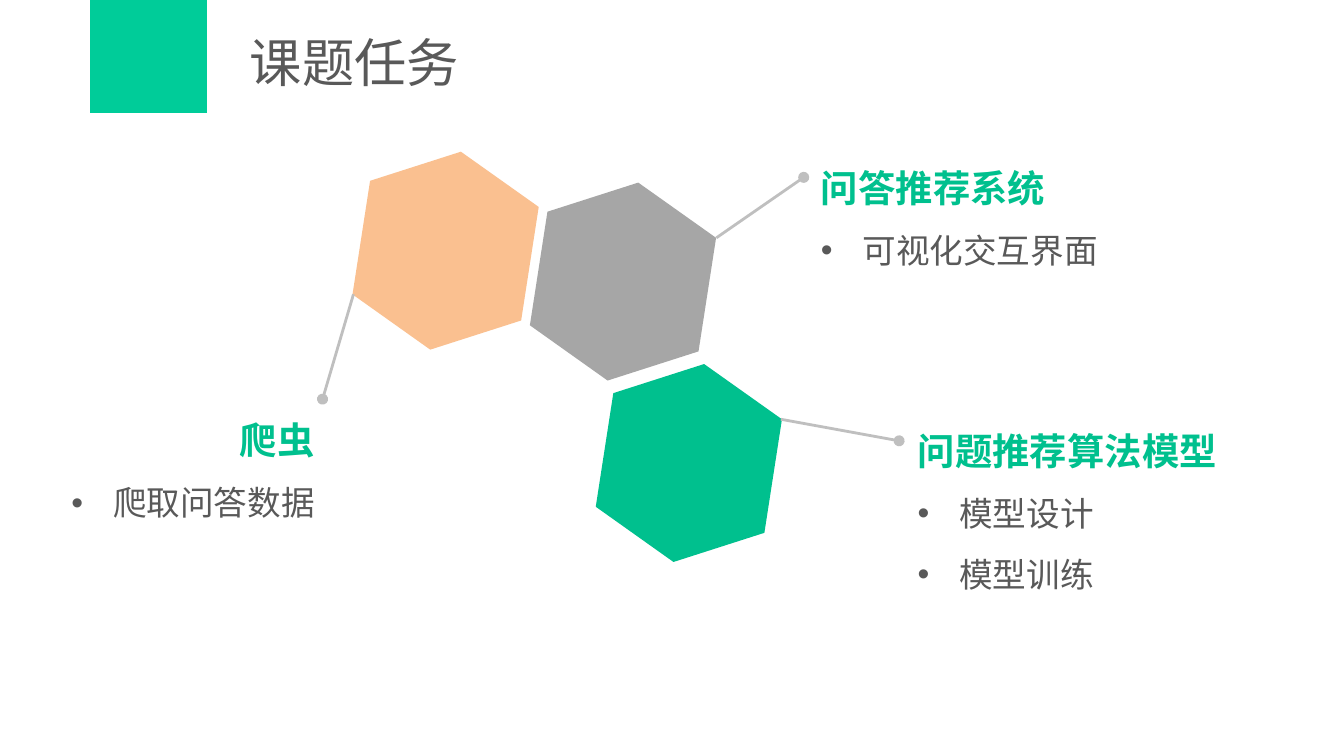
from lxml import etree
from pptx import Presentation
from pptx.dml.color import RGBColor
from pptx.enum import shapes, text
from pptx.oxml import ns
from pptx.util import Inches, Pt

FONT = "Noto Sans CJK SC"
GREEN, GRAY, ORANGE = "00C08E", "A6A6A6", "FAC090"
TEXT_COLOR, LINE_COLOR = "595959", "BFBFBF"


def paint(color_format, color):
    color_format.rgb = RGBColor.from_string(color)


def add_run(paragraph, words, size, color, bold=False):
    run = paragraph.add_run()
    run.text = words
    run.font.size = Pt(size)
    run.font.bold = bold
    paint(run.font.color, color)
    run.font.name = FONT
    etree.SubElement(run.font._element, ns.qn("a:ea"), typeface=FONT)


presentation = Presentation()
presentation.slide_width = Inches(10)
presentation.slide_height = Inches(10 * 9 / 16)
slide = presentation.slides.add_slide(presentation.slide_layouts[5])

title = slide.shapes.title
title.left, title.top = Inches(1.76), Inches(0.14)
title.width, title.height = Inches(7.89), Inches(0.63)
title.text_frame.auto_size = text.MSO_AUTO_SIZE.NONE
title.text_frame.vertical_anchor = text.MSO_ANCHOR.MIDDLE
paragraph = title.text_frame.paragraphs[0]
paragraph.alignment = text.PP_ALIGN.LEFT
add_run(paragraph, "课题任务", 28, TEXT_COLOR)

preset = shapes.MSO_SHAPE
blocks = [
    (preset.RECTANGLE, 0.67, 0, 0.87, 0.84, 0, "00CC99"),
    (preset.HEXAGON, 3.89, 1.46, 1.49, 1.27, 98.8, GRAY),
    (preset.HEXAGON, 4.38, 2.81, 1.49, 1.27, 98.8, GREEN),
    (preset.HEXAGON, 2.57, 1.23, 1.49, 1.27, 98.8, ORANGE),
]
for kind, left, top, width, height, rotation, color in blocks:
    shape = slide.shapes.add_shape(
        kind, Inches(left), Inches(top), Inches(width), Inches(height))
    shape.rotation = rotation
    shape.shadow.inherit = False
    shape.fill.solid()
    paint(shape.fill.fore_color, color)
    shape.line.fill.background()

for start_x, start_y, end_x, end_y in [
    (5.81, 3.12, 6.69, 3.28),
    (5.33, 1.77, 5.98, 1.32),
    (2.63, 2.19, 2.4, 2.97),
]:
    connector = slide.shapes.add_connector(
        shapes.MSO_CONNECTOR.STRAIGHT,
        Inches(start_x), Inches(start_y), Inches(end_x), Inches(end_y))
    connector.line.width = Pt(1.5)
    paint(connector.line.color, LINE_COLOR)
    properties = connector._element.spPr
    etree.SubElement(properties.find(ns.qn("a:ln")), ns.qn("a:tailEnd"), type="oval")
    etree.SubElement(properties, ns.qn("a:effectLst"))

left_align, right_align = text.PP_ALIGN.LEFT, text.PP_ALIGN.RIGHT
tasks = [
    (6.01, 1.01, 2.68, 1.06, left_align, "问答推荐系统", ["可视化交互界面"]),
    (0.37, 2.89, 2.07, 1.01, right_align, "爬虫", ["爬取问答数据"]),
    (6.73, 2.97, 2.68, 1.46, left_align, "问题推荐算法模型", ["模型设计", "模型训练"]),
]
for left, top, width, height, alignment, heading, items in tasks:
    box = slide.shapes.add_textbox(
        Inches(left), Inches(top), Inches(width), Inches(height))
    frame = box.text_frame
    frame.word_wrap = True
    frame.auto_size = text.MSO_AUTO_SIZE.SHAPE_TO_FIT_TEXT
    paragraph = frame.paragraphs[0]
    paragraph.alignment = alignment
    paragraph.line_spacing = 1.5
    add_run(paragraph, heading, 20, GREEN, bold=True)
    for item in items:
        paragraph = frame.add_paragraph()
        paragraph.alignment = alignment
        paragraph.line_spacing = 1.5
        properties = paragraph._p.get_or_add_pPr()
        properties.set("marL", str(Inches(0.31)))
        properties.set("indent", str(-Inches(0.31)))
        etree.SubElement(properties, ns.qn("a:buFont"), typeface="Arial")
        etree.SubElement(properties, ns.qn("a:buChar"), char="•")
        add_run(paragraph, item, 18, TEXT_COLOR)

presentation.save("out.pptx")
